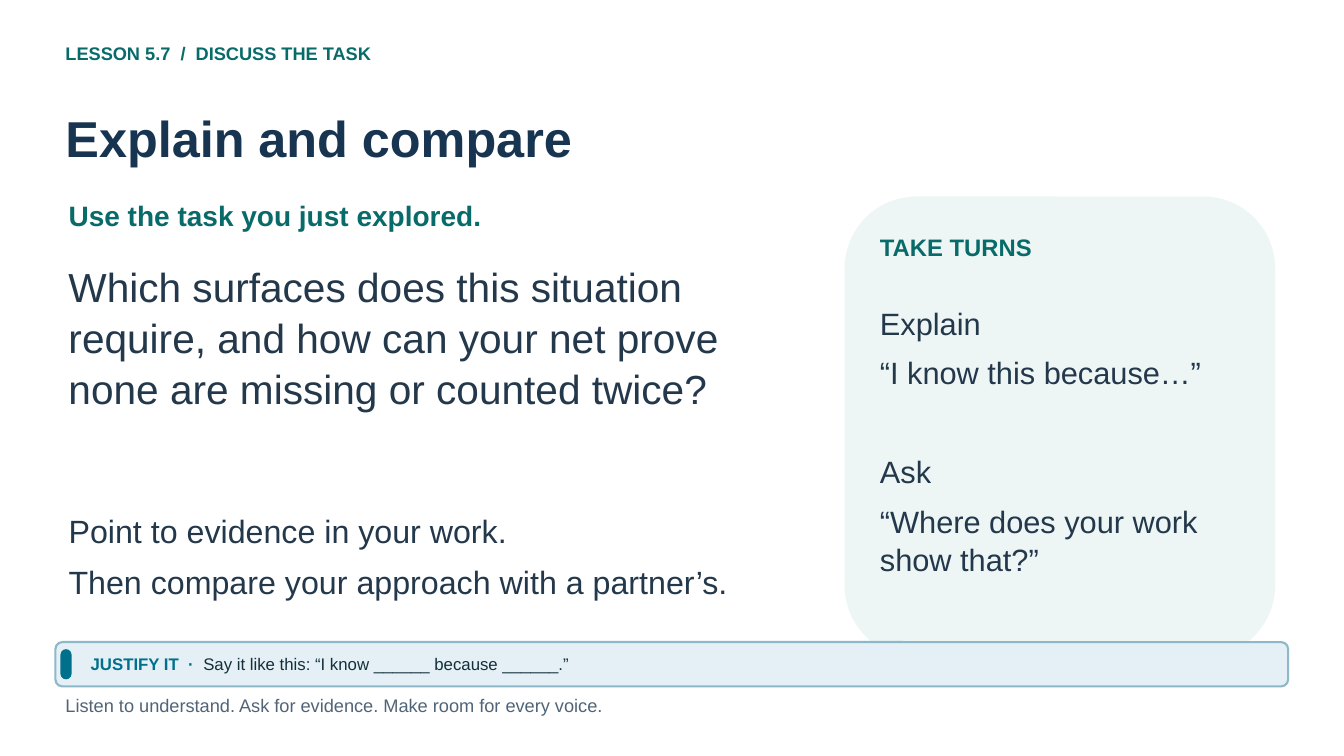
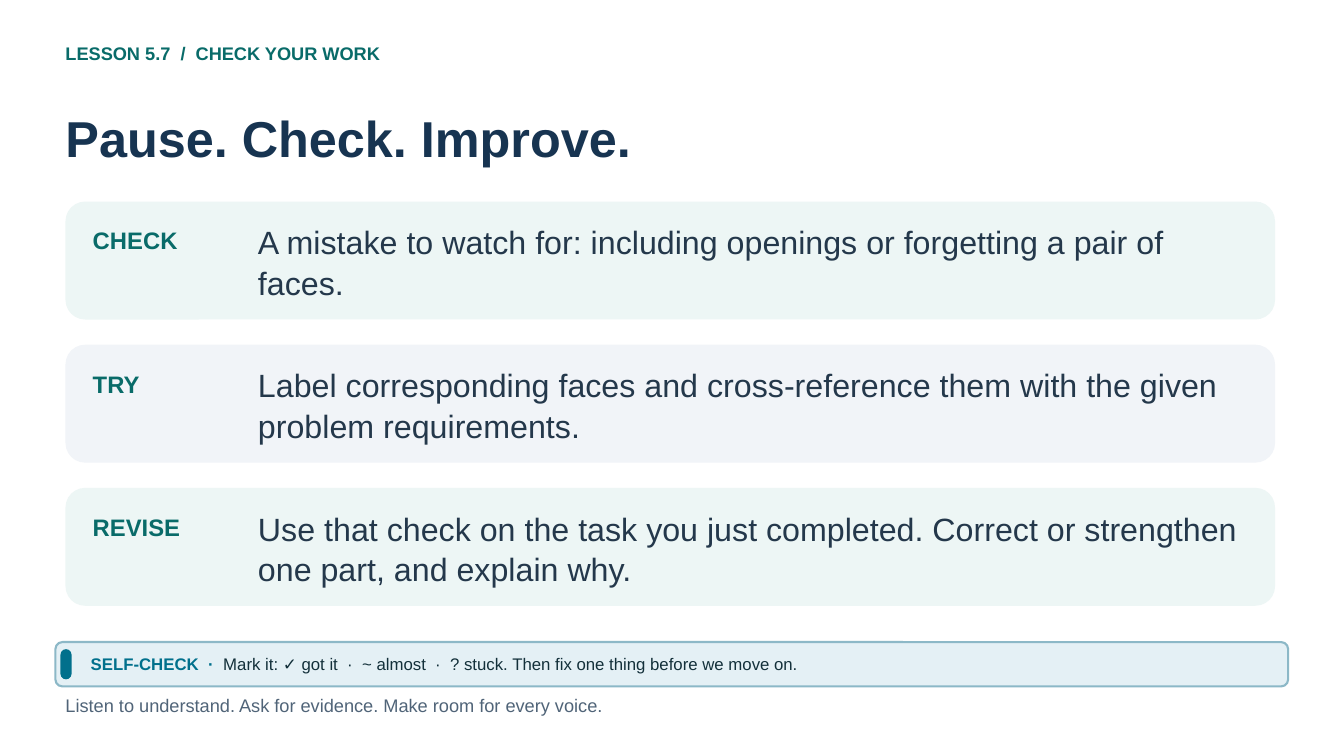
"""Build two lesson slides: a partner discussion and a self-check."""
from dataclasses import dataclass
from typing import NamedTuple, Optional

from pptx import Presentation
from pptx.dml.color import RGBColor
from pptx.enum.shapes import MSO_SHAPE
from pptx.enum.text import MSO_ANCHOR, MSO_AUTO_SIZE
from pptx.util import Inches, Pt

COLUMNS, ROWS = 40, 22.5
SLIDE_WIDTH, SLIDE_HEIGHT = Inches(COLUMNS / 3), Inches(ROWS / 3)
FONT = "Arial"
LINE_SPACING = 1.05
COLORS = {
    "background": "FFFFFF",
    "teal": "096B69",
    "navy": "173451",
    "body": "24384B",
    "muted": "506478",
    "mint": "EDF6F5",
    "mist": "F1F4F8",
    "strip": "E4F0F5",
    "strip_edge": "8CB8C7",
    "accent": "01708C",
    "strip_text": "13303A",
}


class Area(NamedTuple):
    """A rectangle in grid columns and rows."""

    column: float
    row: float
    columns: float
    rows: float

    def emu(self) -> tuple[int, int, int, int]:
        """Return left, top, width and height in EMU."""
        unit_x, unit_y = SLIDE_WIDTH / COLUMNS, SLIDE_HEIGHT / ROWS
        return (round(self.column * unit_x), round(self.row * unit_y),
                round(self.columns * unit_x), round(self.rows * unit_y))


class Style(NamedTuple):
    """Size, colour and weight of text."""

    size: float
    color: str
    bold: bool = False


@dataclass(frozen=True)
class Line:
    """One paragraph and the space before it in points."""

    text: str
    before: float = 0


@dataclass(frozen=True)
class Frame:
    """The texts that differ in the frame of each slide."""

    topic: str
    title: str
    strip_label: str
    strip_text: str


@dataclass(frozen=True)
class Step:
    """One labelled band of the self-check."""

    label: str
    text: str
    fill: str


KICKER = Style(13, "teal", True)
TITLE = Style(36, "navy", True)
FOOTER = Style(13, "muted")
LEAD = Style(20, "teal", True)
QUESTION = Style(29, "body")
BODY = Style(23, "body")
PROMPT = Style(22, "body")
LABEL = Style(17, "teal", True)

MARGIN, CONTENT_WIDTH = 1.95, 36
TASK_COLUMN = 2.04
TURNS_COLUMN, TURNS_WIDTH = 26.19, 10.5
STEP_TOP, STEP_PITCH, STEP_HEIGHT = 6, 4.26, 3.51
STRIP = Area(1.65, 19.11, 36.69, 1.32)
FOOTER_TEXT = "Listen to understand. Ask for evidence. Make room for every voice."

DISCUSS = Frame("DISCUSS THE TASK", "Explain and compare", "JUSTIFY IT",
                "Say it like this: “I know ______ because ______.”")
CHECK = Frame("CHECK YOUR WORK", "Pause. Check. Improve.", "SELF-CHECK",
              "Mark it: ✓ got it  ·  ~ almost  ·  ? stuck. "
              "Then fix one thing before we move on.")
STEPS = (
    Step("CHECK", "A mistake to watch for: including openings or forgetting "
         "a pair of faces.", "mint"),
    Step("TRY", "Label corresponding faces and cross-reference them with "
         "the given problem requirements.", "mist"),
    Step("REVISE", "Use that check on the task you just completed. Correct or "
         "strengthen one part, and explain why.", "mint"),
)


def rgb(name: str) -> RGBColor:
    """Look up a named colour."""
    return RGBColor.from_string(COLORS[name])


def add_text(slide, area: Area, style: Style, *lines: Line) -> None:
    """Add a text box with one paragraph per line."""
    frame = slide.shapes.add_textbox(*area.emu()).text_frame
    frame.word_wrap = True
    frame.auto_size = MSO_AUTO_SIZE.SHAPE_TO_FIT_TEXT
    frame.margin_left = frame.margin_right = frame.margin_bottom = 0
    frame.margin_top = Inches(0.03)
    for index, line in enumerate(lines):
        paragraph = frame.add_paragraph() if index else frame.paragraphs[0]
        paragraph.text = line.text
        paragraph.line_spacing = LINE_SPACING
        paragraph.space_after = Pt(8)
        if line.before:
            paragraph.space_before = Pt(line.before)
        paragraph.font.name = FONT
        paragraph.font.size = Pt(style.size)
        paragraph.font.bold = style.bold
        paragraph.font.color.rgb = rgb(style.color)


def add_panel(shapes, area: Area, fill: str, rounding: Optional[float] = None,
              edge: Optional[str] = None) -> None:
    """Add a flat rounded panel."""
    panel = shapes.add_shape(MSO_SHAPE.ROUNDED_RECTANGLE, *area.emu())
    panel.shadow.inherit = False
    panel.fill.solid()
    panel.fill.fore_color.rgb = rgb(fill)
    if rounding is not None:
        panel.adjustments[0] = rounding
    if edge:
        panel.line.color.rgb = rgb(edge)
        panel.line.width = Pt(1.5)
    else:
        panel.line.fill.background()


def add_strip(slide, label: str, text: str) -> None:
    """Add the grouped prompt strip above the footer."""
    shapes = slide.shapes.add_group_shape().shapes
    add_panel(shapes, STRIP, "strip", 0.16, "strip_edge")
    add_panel(shapes, Area(1.8, 19.32, 0.33, 0.9), "accent", 0.5)
    prompt = Area(2.7, STRIP.row, 35.19, STRIP.rows)
    frame = shapes.add_textbox(*prompt.emu()).text_frame
    frame.word_wrap = True
    frame.vertical_anchor = MSO_ANCHOR.MIDDLE
    frame.margin_left = frame.margin_right = 0
    frame.margin_top = frame.margin_bottom = 0
    paragraph = frame.paragraphs[0]
    paragraph.font.name = FONT
    paragraph.font.size = Pt(12)
    for words, color, bold in ((f"{label}  ·  ", "accent", True),
                               (text, "strip_text", False)):
        run = paragraph.add_run()
        run.text = words
        run.font.bold = bold
        run.font.color.rgb = rgb(color)


def add_framed_slide(deck, frame: Frame):
    """Add a blank slide with kicker, title and footer."""
    slide = deck.slides.add_slide(deck.slide_layouts[6])
    slide.background.fill.solid()
    slide.background.fill.fore_color.rgb = rgb("background")
    add_text(slide, Area(MARGIN, 1.14, CONTENT_WIDTH, 1), KICKER,
             Line(f"LESSON 5.7  /  {frame.topic}"))
    add_text(slide, Area(MARGIN, 3, CONTENT_WIDTH, 2.1), TITLE,
             Line(frame.title))
    add_text(slide, Area(MARGIN, 20.55, 35.4, 0.9), FOOTER, Line(FOOTER_TEXT))
    return slide


def build_discussion(deck) -> None:
    """Build the slide on explaining and comparing."""
    slide = add_framed_slide(deck, DISCUSS)
    add_text(slide, Area(TASK_COLUMN, 5.76, 21.75, 1.26), LEAD,
             Line("Use the task you just explored."))
    add_text(slide, Area(TASK_COLUMN, 7.62, 21.6, 6.75), QUESTION,
             Line("Which surfaces does this situation require, and how can "
                  "your net prove none are missing or counted twice?"))
    add_text(slide, Area(TASK_COLUMN, 15.06, 21.75, 3.15), BODY,
             Line("Point to evidence in your work."),
             Line("Then compare your approach with a partner’s."))
    add_panel(slide.shapes, Area(25.14, 5.85, 12.81, 13.71), "mint")
    add_text(slide, Area(TURNS_COLUMN, 6.78, TURNS_WIDTH, 1.2), LABEL,
             Line("TAKE TURNS"))
    add_text(slide, Area(TURNS_COLUMN, 8.91, TURNS_WIDTH, 8.55), PROMPT,
             Line("Explain"), Line("“I know this because…”"),
             Line("Ask", before=34.5), Line("“Where does your work show that?”"))
    add_strip(slide, DISCUSS.strip_label, DISCUSS.strip_text)


def build_check(deck) -> None:
    """Build the slide with the three self-check steps."""
    slide = add_framed_slide(deck, CHECK)
    for index, step in enumerate(STEPS):
        top = STEP_TOP + index * STEP_PITCH
        add_panel(slide.shapes, Area(MARGIN, top, CONTENT_WIDTH, STEP_HEIGHT),
                  step.fill)
        add_text(slide, Area(2.76, top + 0.6, 4.2, 1.2), LABEL, Line(step.label))
        add_text(slide, Area(7.68, top + 0.48, 29.31, 2.73), BODY,
                 Line(step.text))
    add_strip(slide, CHECK.strip_label, CHECK.strip_text)


def main() -> None:
    """Build and save the deck."""
    deck = Presentation()
    deck.slide_width, deck.slide_height = SLIDE_WIDTH, SLIDE_HEIGHT
    build_discussion(deck)
    build_check(deck)
    deck.save("out.pptx")


if __name__ == "__main__":
    main()
